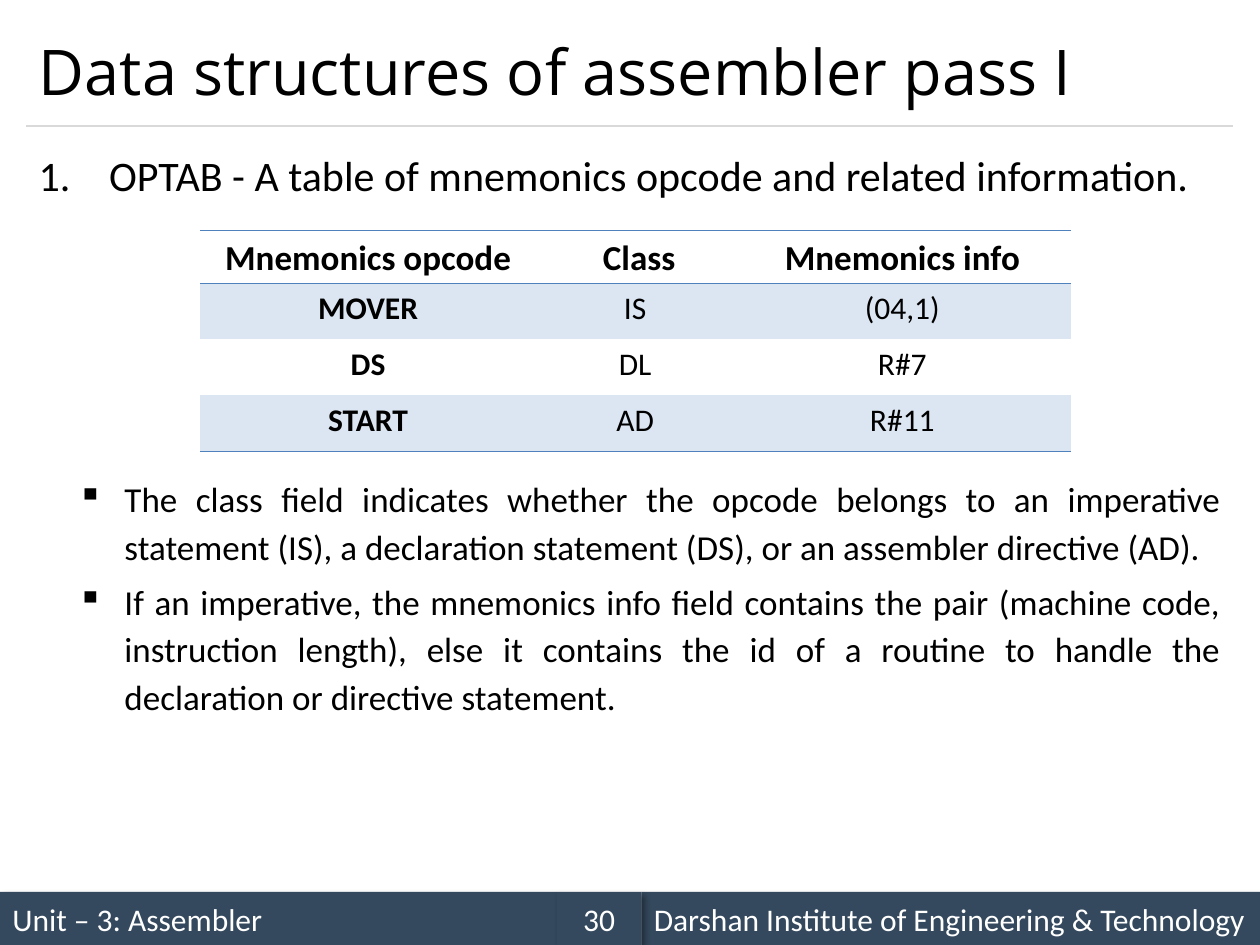
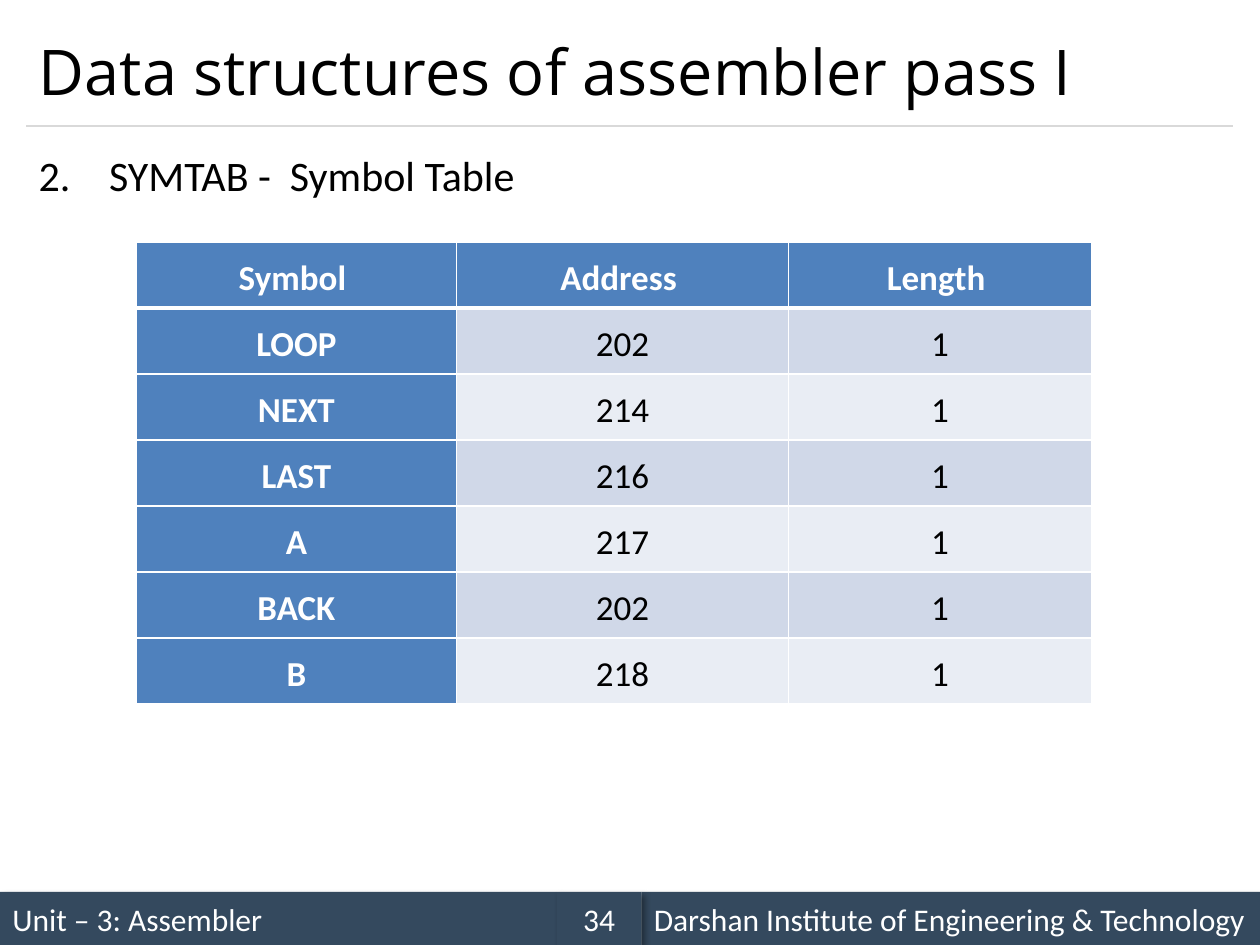
from dataclasses import dataclass, field
from lxml.etree import SubElement as Sub
from pptx import Presentation
from pptx.dml.color import RGBColor as Rgb
from pptx.enum.shapes import MSO_CONNECTOR as Link, MSO_SHAPE as Form
from pptx.enum.text import MSO_ANCHOR as Anchor, MSO_AUTO_SIZE as Fit, PP_ALIGN as Align
from pptx.oxml.ns import qn
from pptx.util import Cm, Pt


@dataclass(frozen=True)
class Theme:
    """Colours, fonts and type sizes of the deck."""
    ink: str = "000000"
    white: str = "FFFFFF"
    band: str = "34495E"
    rule: str = "D9D9D9"
    blue: str = "4F81BD"
    tint: str = "DCE6F2"
    odd: str = "D0D8E8"
    even: str = "E9EDF4"
    head: str = "Open Sans"
    body: str = "Calibri"
    title: int = 36
    lead: int = 24
    note: int = 20
    small: int = 18


@dataclass
class Look:
    """Style of one table cell."""
    fill: str = ""
    ink: str = "000000"
    bold: bool = False
    size: int = 20
    edges: dict = field(default_factory=dict)


THEME = Theme()
WIDE, HIGH = 25.4, 19.05
EDGE, SPAN = 0.53, 24.33
PLAIN = "{2D5ABB26-0587-4C30-8999-92F81FD0307C}"


def style(para, size, ink=THEME.ink, face=THEME.body, bold=False):
    """Set the font of a whole paragraph."""
    font = para.font
    font.name, font.size, font.bold = face, Pt(size), bold
    font.color.rgb = Rgb.from_string(ink)


def place(shape, box):
    """Move a shape to a box given in centimetres."""
    shape.left, shape.top, shape.width, shape.height = map(Cm, box)


def shade(shape):
    """Give a shape a soft shadow to its lower right."""
    shape.shadow.inherit = False
    glow = shape._element.spPr.find(qn("a:effectLst"))
    outer = Sub(glow, qn("a:outerShdw"), blurRad=str(Pt(4)), dist=str(Pt(3)),
                dir=str(45 * 60000), algn="tl", rotWithShape="0")
    tone = Sub(outer, qn("a:srgbClr"), val=THEME.ink)
    Sub(tone, qn("a:alpha"), val="40000")


def band(slide, box, text, align=Align.LEFT):
    """Draw one part of the footer band."""
    bar = slide.shapes.add_shape(Form.RECTANGLE, *map(Cm, box))
    bar.fill.solid()
    bar.fill.fore_color.rgb = Rgb.from_string(THEME.band)
    bar.line.fill.background()
    shade(bar)
    frame = bar.text_frame
    frame.word_wrap, frame.vertical_anchor = True, Anchor.MIDDLE
    para = frame.paragraphs[0]
    para.text, para.alignment = text, align
    style(para, THEME.small, THEME.white)


def footer(slide, box, page):
    """Fill the footer box with unit, school and page number."""
    left, top, width, height = box
    unit, num = 11.23, 1.7
    mid, end = left + unit, left + unit + num
    band(slide, (left, top, unit, height), "Unit – 3: Assembler")
    band(slide, (end, top, width - unit - num, height),
         "Darshan Institute of Engineering & Technology")
    band(slide, (mid, top, num, height), str(page), Align.CENTER)


def header(slide, box, text):
    """Set the title in its box with a thin rule below."""
    left, top, width, height = box
    title = slide.shapes.title
    place(title, box)
    frame = title.text_frame
    frame.text, frame.word_wrap = text, True
    frame.auto_size, frame.vertical_anchor = Fit.NONE, Anchor.MIDDLE
    para = frame.paragraphs[0]
    para.alignment = Align.LEFT
    style(para, THEME.title, face=THEME.head)
    base = top + height
    rule = slide.shapes.add_connector(
        Link.STRAIGHT, *map(Cm, (left, base, left + width, base)))
    rule.line.color.rgb = Rgb.from_string(THEME.rule)
    rule.line.width = Pt(0.75)
    Sub(rule._element.spPr, qn("a:effectLst"))


def points(slide, box, texts, size, hang, mark, align=Align.LEFT):
    """Write a list whose marks hang left of the text."""
    frame = slide.shapes.add_textbox(*map(Cm, box)).text_frame
    frame.word_wrap = True
    left, back = hang
    tag, attrs = mark
    for i, text in enumerate(texts):
        para = frame.add_paragraph() if i else frame.paragraphs[0]
        para.text, para.alignment, para.line_spacing = text, align, 1.14
        if i:
            para.space_before = Pt(size * 0.2)
        props = para._p.get_or_add_pPr()
        props.set("marL", str(Cm(left)))
        props.set("indent", str(-Cm(back)))
        Sub(props, qn(tag), **attrs)
        style(para, size)


def lead(slide, text, start):
    """Write the numbered heading of a slide."""
    mark = "a:buAutoNum", {"type": "arabicPeriod", "startAt": str(start)}
    points(slide, (EDGE, 2.74, SPAN, 1.5), [text], THEME.lead, (1.42, 1.42), mark)


def border(cell, edges):
    """Draw the listed edges of a cell, each a colour and a width."""
    props = cell._tc.get_or_add_tcPr()
    for side in "LRTB":
        if side in edges:
            ink, width = edges[side]
            line = Sub(props, qn(f"a:ln{side}"), w=str(Pt(width)))
            Sub(Sub(line, qn("a:solidFill")), qn("a:srgbClr"), val=ink)


def grid(slide, spot, widths, heights, rows, look, anchor):
    """Build a table at a spot, each cell styled by the look rule."""
    frame = slide.shapes.add_table(
        len(rows), len(widths), *map(Cm, (*spot, sum(widths), sum(heights))))
    table = frame.table
    table.first_row = table.horz_banding = False
    table._tbl.tblPr.find(qn("a:tableStyleId")).text = PLAIN
    for col, width in zip(table.columns, widths):
        col.width = Cm(width)
    for row, height in zip(table.rows, heights):
        row.height = Cm(height)
    for r, row in enumerate(rows):
        for c, text in enumerate(row):
            cell, form = table.cell(r, c), look(r, c)
            cell.margin_left = cell.margin_right = Cm(0.18)
            cell.margin_top = cell.margin_bottom = 0
            cell.vertical_anchor = anchor
            border(cell, form.edges)
            if form.fill:
                cell.fill.solid()
                cell.fill.fore_color.rgb = Rgb.from_string(form.fill)
            else:
                cell.fill.background()
            para = cell.text_frame.paragraphs[0]
            para.text, para.alignment = text, Align.CENTER
            para.line_spacing, para.space_after = 1.15, Pt(3)
            style(para, form.size, form.ink, bold=form.bold)


def light(r, c):
    """Style the opcode table: tinted odd rows and blue rules."""
    line = (THEME.blue, 1)
    edges = {0: {"T": line, "B": line}, 3: {"B": line}}.get(r, {})
    return Look(THEME.tint if r % 2 else "", THEME.ink, r == 0 or c == 0,
                THEME.small if r else THEME.note, edges)


def solid(r, c):
    """Style the symbol table: blue heads and banded rows."""
    line = (THEME.white, 1)
    edges = dict.fromkeys("LRTB", line)
    if r == 0:
        edges["B"] = (THEME.white, 3)
    elif r == 1:
        edges["T"] = (THEME.white, 3)
    if r == 0 or c == 0:
        return Look(THEME.blue, THEME.white, True, THEME.note, edges)
    return Look(THEME.odd if r % 2 else THEME.even, THEME.ink, False,
                THEME.note, edges)


def start(deck, page):
    """Add a slide with the shared title and footer."""
    slide = deck.slides.add_slide(deck.slide_layouts[5])
    footer(slide, (0, 17.98, WIDE, 1.07), page)
    header(slide, (EDGE, 0.3, SPAN, 2.24), "Data structures of assembler pass I")
    return slide


def optab(deck):
    """Build the slide on the opcode table."""
    slide = start(deck, 30)
    lead(slide, "OPTAB - A table of mnemonics opcode and related information.", 1)
    rows = [("Mnemonics opcode", " Class", "Mnemonics info"),
            ("MOVER", "IS", "(04,1)"),
            ("DS", "DL", "R#7"),
            ("START", "AD", "R#11")]
    grid(slide, (4.03, 4.65), (6.78, 3.99, 6.78), (1.06, *[1.13] * 3), rows,
         light, Anchor.TOP)
    notes = [
        "The class field indicates whether the opcode belongs to an imperative "
        "statement (IS), a declaration statement (DS), or an assembler directive (AD).",
        "If an imperative, the mnemonics info field contains the pair (machine code, "
        "instruction length), else it contains the id of a routine to handle the "
        "declaration or directive statement."]
    points(slide, (EDGE, 9.38, SPAN, 5.4), notes, THEME.note, (1.73, 0.95),
           ("a:buChar", {"char": "▪"}), Align.JUSTIFY)


def symtab(deck):
    """Build the slide on the symbol table."""
    slide = start(deck, 34)
    lead(slide, "SYMTAB -  Symbol Table", 2)
    pairs = [("LOOP", 202), ("NEXT", 214), ("LAST", 216),
             ("A", 217), ("BACK", 202), ("B", 218)]
    rows = [("Symbol ", "Address ", "Length ")]
    rows += [(name, str(spot), "1") for name, spot in pairs]
    grid(slide, (2.75, 4.88), (6.45, 6.7, 6.1), [1.33] * len(rows), rows,
         solid, Anchor.MIDDLE)


def main():
    """Build and save the deck."""
    deck = Presentation()
    deck.slide_width, deck.slide_height = Cm(WIDE), Cm(HIGH)
    optab(deck)
    symtab(deck)
    deck.save("out.pptx")


if __name__ == "__main__":
    main()
